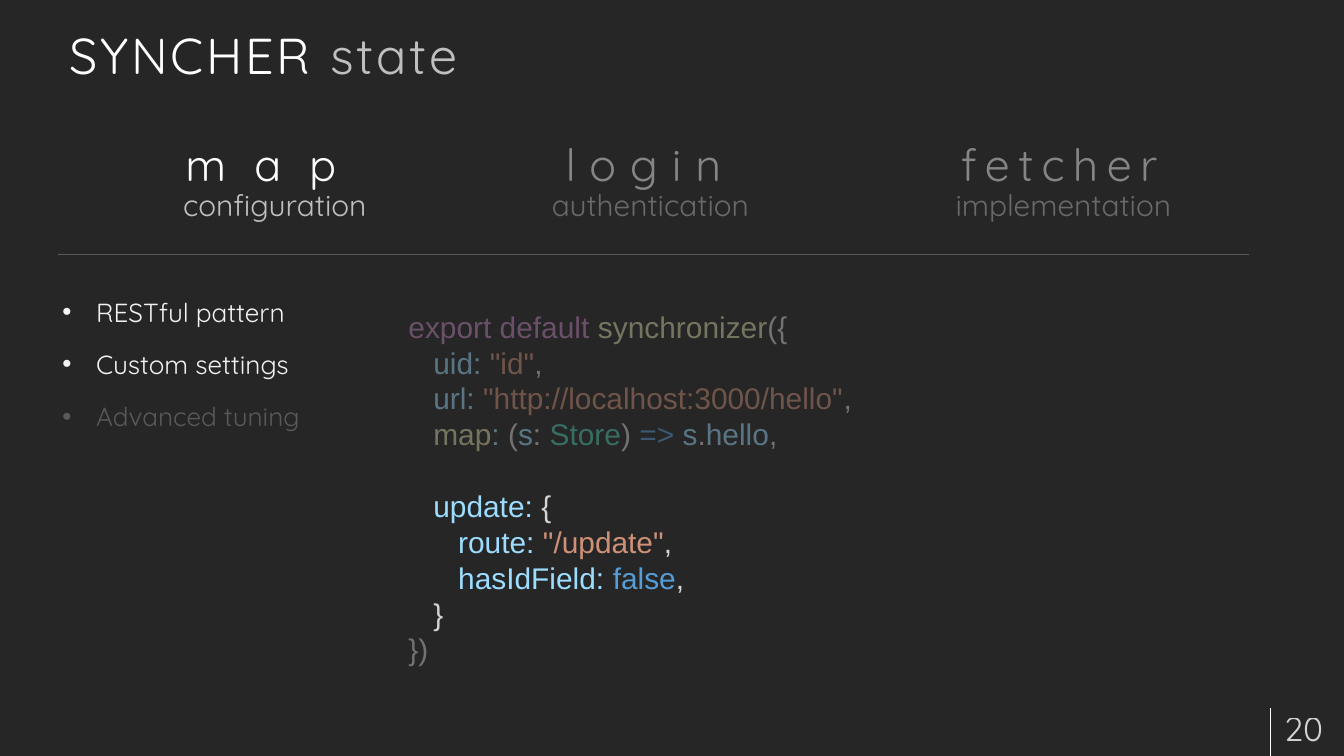
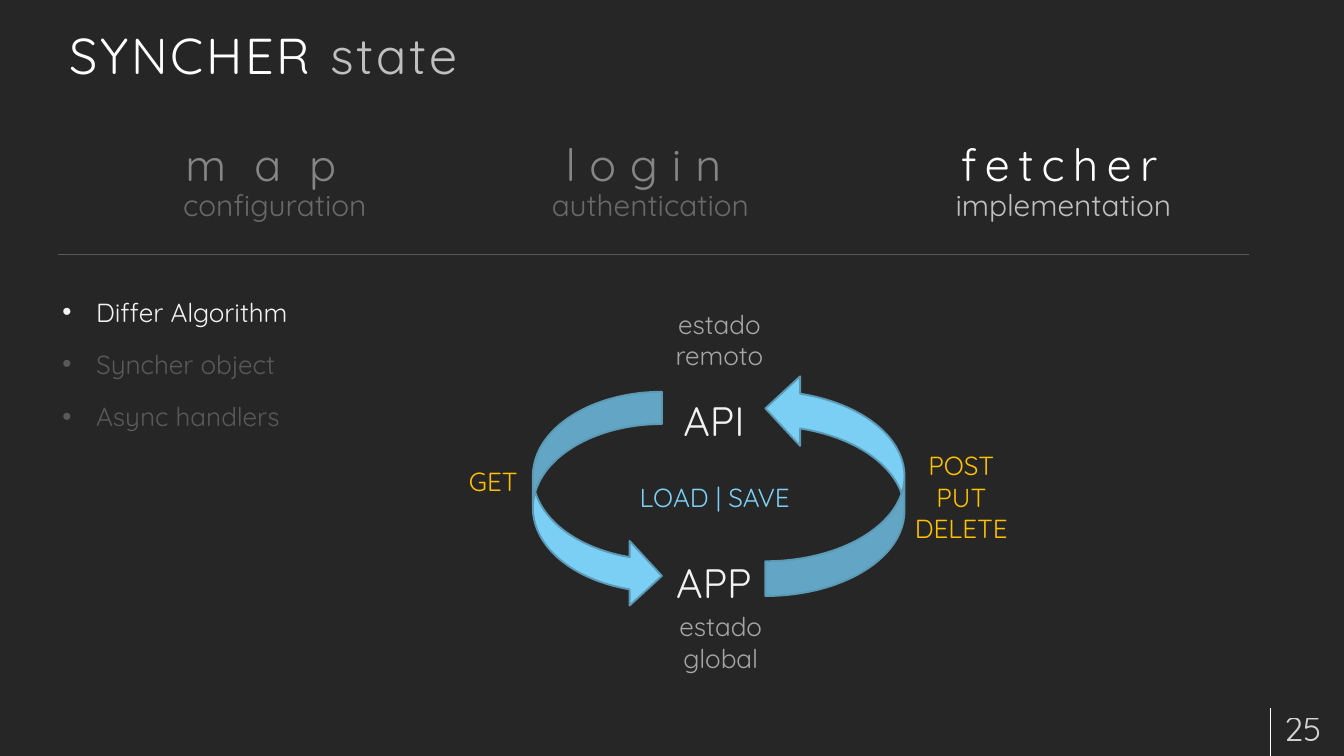
"""Build two slides on the SYNCHER state: map configuration and fetcher implementation."""
from lxml.etree import SubElement
from pptx import Presentation
from pptx.dml.color import RGBColor
from pptx.enum.shapes import MSO_CONNECTOR, MSO_SHAPE
from pptx.enum.text import MSO_ANCHOR, MSO_AUTO_SIZE, PP_ALIGN
from pptx.oxml.ns import qn
from pptx.util import Inches, Pt

COLUMNS, ROWS = 20, 11.25
CELL = Inches(1)
FONT, CODE_FONT = "Quicksand", "Arial"
BACKGROUND, WHITE, BRIGHT, DIM = "262626", "FFFFFF", "F2F2F2", "595959"
SILVER, GREY, GOLD, SKY, SKY_EDGE = "BFBFBF", "A6A6A6", "FFC000", "7BCFF5", "5B99B5"
TITLE = [("SYNCHER ", WHITE), ("state", SILVER)]
TITLE_BOX = (0.86, 0, 18, 1.35)
BULLET_BOX = (0.83, 4.12, 4.75, 5.5)
NUMBER_BOX = (18.93, 10.54, 1.15, 0.6)
RULES = [((18.9, 10.54), (18.9, ROWS), WHITE), ((0.86, 3.79), (18.58, 3.79), DIM)]
TABS = [
    ("map", "configuration", 30, (2.05, 2.07, 4.08, 1.29)),
    ("login", "authentication", 15, (7.49, 2.07, 4.38, 1.29)),
    ("fetcher", "implementation", 9, (13.23, 2.07, 5.19, 1.29)),
]

KEYWORD, CALL, PLAIN, FIELD = "C586C0", "DCDCAA", "D4D4D4", "9CDCFE"
STRING, TYPE, LITERAL = "CE9178", "4EC9B0", "569CD6"
CODE_BOX = (5.98, 4.54, 10, 5.49)
CODE_INDENT, CODE_LEADING = 0.37, 38.4
CODE = [
    (0, 0, [("export default ", KEYWORD), ("synchronizer", CALL), ("({", PLAIN)]),
    (1, 0, [("uid: ", FIELD), ('"id"', STRING), (",", PLAIN)]),
    (1, 0, [("url: ", FIELD), ('"http://localhost:3000/hello"', STRING), (",", PLAIN)]),
    (1, 0, [("map", CALL), (":", FIELD), (" (", PLAIN), ("s", FIELD), (": ", PLAIN),
            ("Store", TYPE), (") ", PLAIN), ("=> ", LITERAL), ("s", FIELD),
            (".", PLAIN), ("hello", FIELD), (",", PLAIN)]),
    (1, 1, [("update:", FIELD), (" {", PLAIN)]),
    (2, 0, [("route: ", FIELD), ('"/update"', STRING), (",", PLAIN)]),
    (2, 0, [("hasIdField: ", FIELD), ("false", LITERAL), (",", PLAIN)]),
    (1, 0, [("}", PLAIN)]),
    (0, 0, [("})", PLAIN)]),
]
MAP_SLIDE = {
    "number": "20",
    "bullets": [("RESTful pattern", BRIGHT), ("Custom settings", BRIGHT), ("Advanced tuning", DIM)],
    "veils": [(5.36, 7.45, 11.02, 0.67), (7.09, 1.68, 10.5, 1.82)],
}
CODE_VEILS = [(5.73, 4.52, 10.65, 2.31), (5.98, 9.46, 10.65, 1.19)]

FETCHER_SLIDE = {
    "number": "25",
    "bullets": [("Differ Algorithm", BRIGHT), ("Syncher object", DIM), ("Async handlers", DIM)],
    "veils": [(1.37, 1.81, 10.5, 1.82)],
}
CYCLE_LABELS = [
    ("LOAD | SAVE", 28, SKY, 1.5, (9.16, 6.88, 2.95, 1.17)),
    ("estado global", 28, GREY, 1, (9.82, 9.04, 1.81, 1.17)),
    ("estado remoto", 28, GREY, 1, (9.69, 4.54, 2.03, 1.17)),
    ("APP", 44, BRIGHT, 1.5, (9.15, 7.88, 2.95, 1.17)),
    ("API", 44, BRIGHT, 1.5, (9.15, 5.47, 2.95, 1.17)),
    ("POST PUT DELETE", 28, GOLD, 1, (13.4, 6.64, 1.81, 1.17)),
    ("GET", 28, GOLD, 1, (6.63, 6.88, 1.42, 0.75)),
]
CYCLE_ARROWS = [("flipH", (7.93, 5.83, 1.92, 3.22)), ("flipV", (11.39, 5.56, 2.07, 3.31))]


def color(hex_string):
    return RGBColor.from_string(hex_string)


def grid(*cells):
    return [round(cell * CELL) for cell in cells]


def set_opacity(element, percent):
    SubElement(element.find(".//" + qn("a:srgbClr")), qn("a:alpha"), val=str(percent * 1000))


def format_run(run, size, hex_string, font=FONT, tracking=0):
    run.font.size = Pt(size)
    run.font.name = font
    run.font.color.rgb = color(hex_string)
    if tracking:
        run.font._element.set("spc", str(tracking * 100))


def add_runs(paragraph, pieces, size, font=FONT, tracking=0):
    for text, hex_string in pieces:
        run = paragraph.add_run()
        run.text = text
        format_run(run, size, hex_string, font, tracking)


def set_indent(paragraph, margin, first_line=0):
    properties = paragraph._p.get_or_add_pPr()
    properties.set("marL", str(Inches(margin)))
    properties.set("indent", str(Inches(first_line)))


def add_text_box(slide, box):
    text_frame = slide.shapes.add_textbox(*grid(*box)).text_frame
    text_frame.word_wrap = True
    return text_frame


def set_margins(text_frame):
    text_frame.margin_left = text_frame.margin_right = Inches(0.18)
    text_frame.margin_top = text_frame.margin_bottom = Inches(0.09)


def add_filled_shape(slide, kind, box, fill):
    shape = slide.shapes.add_shape(kind, *grid(*box))
    shape.shadow.inherit = False
    shape.fill.solid()
    shape.fill.fore_color.rgb = color(fill)
    return shape


def add_veils(slide, boxes):
    for box in boxes:
        veil = add_filled_shape(slide, MSO_SHAPE.RECTANGLE, box, BACKGROUND)
        veil.line.fill.background()
        set_opacity(veil._element.spPr, 56)


def add_rule(slide, start, end, hex_string):
    rule = slide.shapes.add_connector(MSO_CONNECTOR.STRAIGHT, *grid(*start, *end))
    rule.line.color.rgb = color(hex_string)
    rule.line.width = Pt(0.75)
    SubElement(rule._element.spPr, qn("a:effectLst"))


def add_tab(slide, name, caption, tracking, box):
    paragraph = add_text_box(slide, box).paragraphs[0]
    paragraph.text = f"{name}\v{caption}"
    paragraph.alignment = PP_ALIGN.CENTER
    paragraph.line_spacing = 0.9
    name_run, caption_run = paragraph.runs
    format_run(name_run, 48, WHITE, tracking=tracking)
    format_run(caption_run, 32, SILVER)


def fill_placeholders(slide, bullets):
    title, body = slide.shapes.title, slide.placeholders[1]
    for placeholder, box in ((title, TITLE_BOX), (body, BULLET_BOX)):
        placeholder.left, placeholder.top, placeholder.width, placeholder.height = grid(*box)
        placeholder.text_frame.auto_size = MSO_AUTO_SIZE.NONE
    set_margins(title.text_frame)
    title.text_frame.vertical_anchor = MSO_ANCHOR.BOTTOM
    heading = title.text_frame.paragraphs[0]
    heading.alignment = PP_ALIGN.LEFT
    add_runs(heading, TITLE, 54, tracking=3)
    body.text_frame.text = "\n".join(text for text, _ in bullets)
    for paragraph, (_, hex_string) in zip(body.text_frame.paragraphs, bullets):
        set_indent(paragraph, 0.5, -0.5)
        paragraph.line_spacing = 1.5
        format_run(paragraph.runs[0], 28, hex_string)


def add_slide_number(slide, number):
    text_frame = add_text_box(slide, NUMBER_BOX)
    set_margins(text_frame)
    text_frame.vertical_anchor = MSO_ANCHOR.MIDDLE
    text_frame.text = number
    run = text_frame.paragraphs[0].runs[0]
    format_run(run, 36, WHITE)
    set_opacity(run._r, 80)


def add_state_slide(presentation, content):
    slide = presentation.slides.add_slide(presentation.slide_layouts[1])
    fill_placeholders(slide, content["bullets"])
    for rule in RULES:
        add_rule(slide, *rule)
    add_slide_number(slide, content["number"])
    for tab in TABS:
        add_tab(slide, *tab)
    add_veils(slide, content["veils"])
    return slide


def add_code(slide):
    text_frame = add_text_box(slide, CODE_BOX)
    for index, (level, lines_before, pieces) in enumerate(CODE):
        paragraph = text_frame.add_paragraph() if index else text_frame.paragraphs[0]
        set_indent(paragraph, level * CODE_INDENT)
        paragraph.line_spacing = Pt(CODE_LEADING)
        paragraph.space_before = Pt(lines_before * CODE_LEADING)
        add_runs(paragraph, pieces, 32, CODE_FONT)
    add_veils(slide, CODE_VEILS)


def add_cycle(slide):
    for flip, box in CYCLE_ARROWS:
        arrow = add_filled_shape(slide, MSO_SHAPE.CURVED_LEFT_ARROW, box, SKY)
        arrow.line.color.rgb = color(SKY_EDGE)
        arrow.line.width = Pt(2)
        arrow._element.spPr.xfrm.set(flip, "1")
    for text, size, hex_string, spacing, box in CYCLE_LABELS:
        paragraph = add_text_box(slide, box).paragraphs[0]
        paragraph.text = text
        paragraph.alignment = PP_ALIGN.CENTER
        paragraph.line_spacing = float(spacing)
        format_run(paragraph.runs[0], size, hex_string)


def main():
    presentation = Presentation()
    presentation.slide_width, presentation.slide_height = grid(COLUMNS, ROWS)
    background = presentation.slide_master.background.fill
    background.solid()
    background.fore_color.rgb = color(BACKGROUND)
    add_code(add_state_slide(presentation, MAP_SLIDE))
    add_cycle(add_state_slide(presentation, FETCHER_SLIDE))
    presentation.save("out.pptx")


if __name__ == "__main__":
    main()
